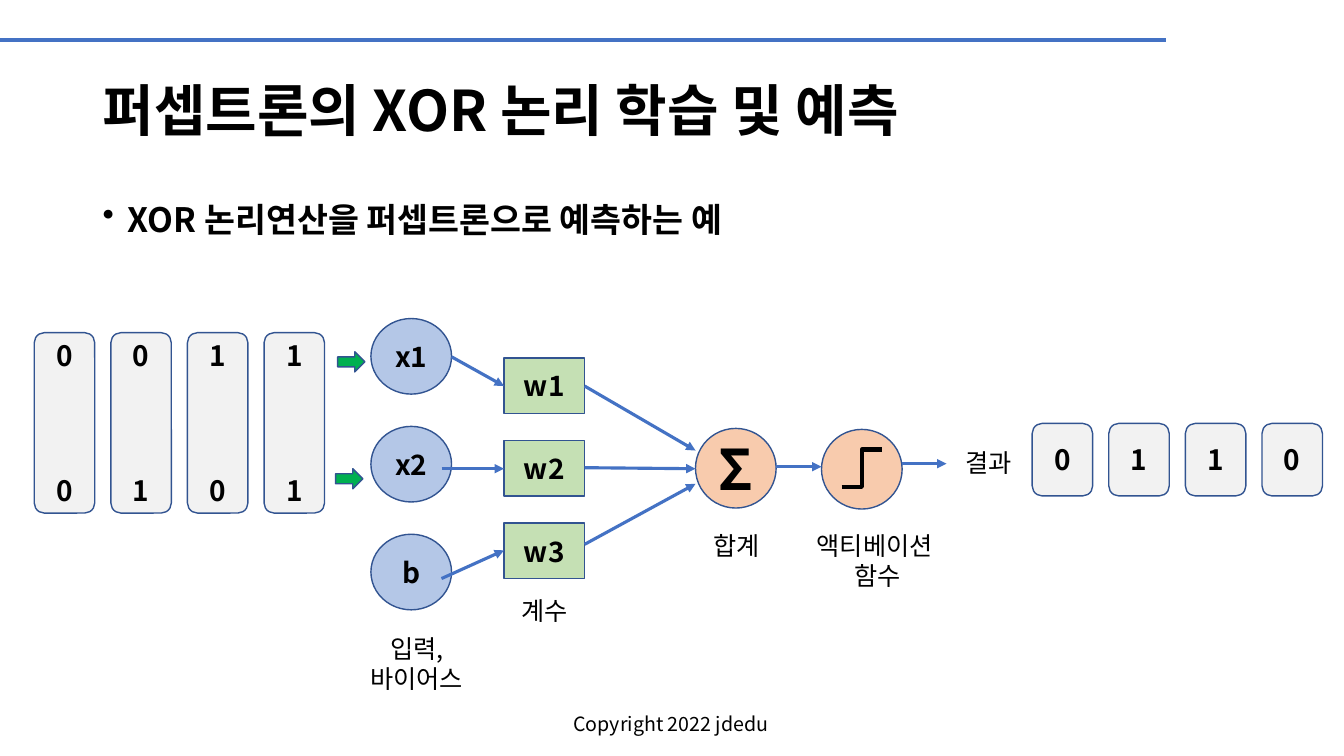
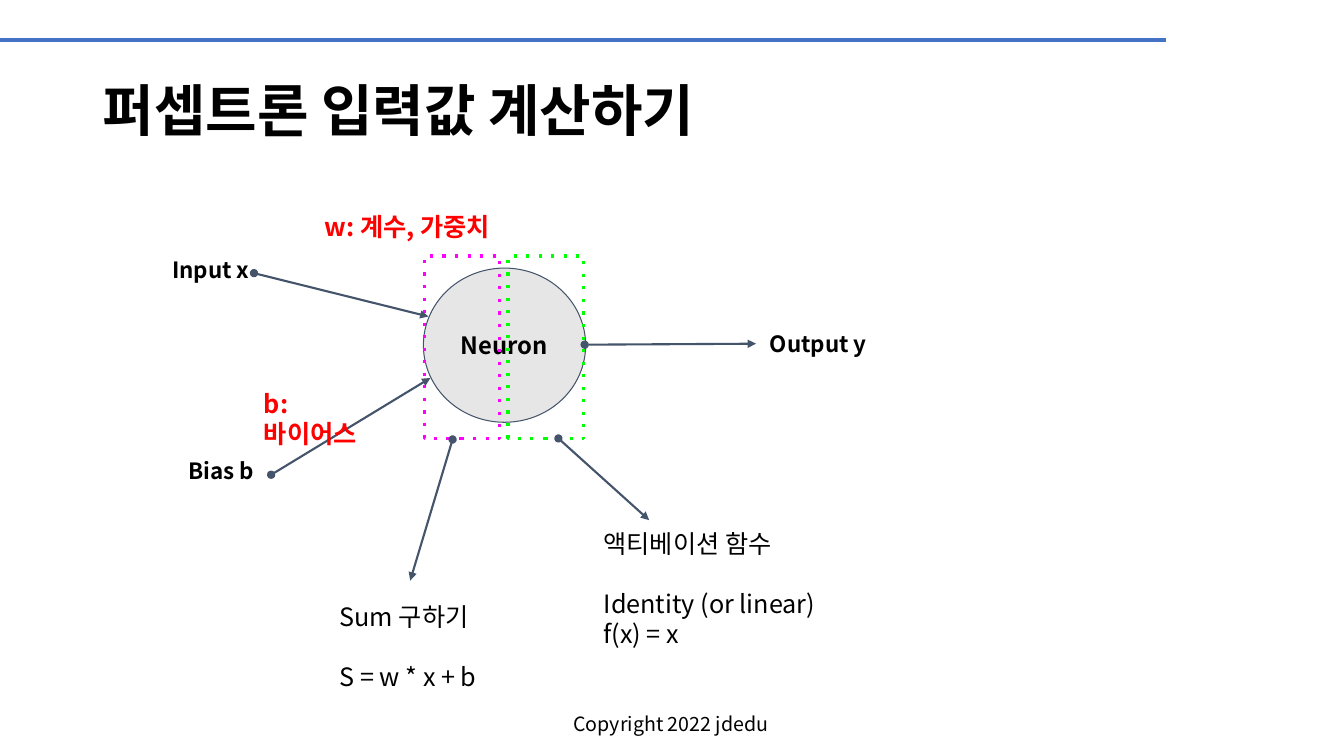
from lxml.etree import SubElement
from pptx import Presentation
from pptx.dml.color import RGBColor
from pptx.enum.shapes import MSO_CONNECTOR, MSO_SHAPE
from pptx.enum.text import MSO_ANCHOR, MSO_AUTO_SIZE, PP_ALIGN
from pptx.oxml.ns import qn
from pptx.util import Inches, Pt

FONT = "Noto Sans CJK KR"
BLACK, RED, BLUE, NAVY, SLATE = "000000", "FF0000", "4472C4", "325491", "44546A"
SKY, LEAF, PEACH, PALE, GREY = "B4C7E7", "C5E0B4", "F8CBAD", "F2F2F2", "E7E6E6"
GREEN, PINK, LIME = "00B050", "FF00FF", "00FF00"
WIDE, HIGH = 133.33, 75  # columns and rows of a 0.1 inch grid


def grid(*cells):
    return [Inches(cell / 10) for cell in cells]


def color(code):
    return RGBColor.from_string(code)


def write(frame, text, size, code=BLACK, bold=False, align=PP_ALIGN.LEFT):
    """Fill a text frame, one paragraph for each line of text."""
    frame.text = text
    for para in frame.paragraphs:
        para.alignment = align
        font = para.font
        font.size, font.bold, font.name = Pt(size), bold, FONT
        font.color.rgb = color(code)
        SubElement(para._p.pPr.find(qn("a:defRPr")), qn("a:ea"), typeface=FONT)


def pad(frame, side, top):
    frame.margin_left = frame.margin_right = Inches(side)
    frame.margin_top = frame.margin_bottom = Inches(top)


def label(slide, box, text, size=18, wrap=False, top=0.05, **style):
    frame = slide.shapes.add_textbox(*grid(*box)).text_frame
    frame.word_wrap = wrap
    pad(frame, 0.1, top)
    write(frame, text, size, **style)
    return frame


def shape(slide, kind, box, fill=None, edge=NAVY, width=1, text="", size=20):
    item = slide.shapes.add_shape(kind, *grid(*box))
    item.shadow.inherit = False
    if fill:
        item.fill.solid()
        item.fill.fore_color.rgb = color(fill)
    else:
        item.fill.background()
    item.line.color.rgb = color(edge)
    item.line.width = Pt(width)
    if text:
        frame = item.text_frame
        frame.word_wrap = False
        frame.vertical_anchor = MSO_ANCHOR.MIDDLE
        pad(frame, 0, 0)
        write(frame, text, size, bold=True, align=PP_ALIGN.CENTER)
    return item


def link(slide, ends, code=BLUE, width=2.25, head=None, tail="triangle",
         kind=MSO_CONNECTOR.STRAIGHT):
    line = slide.shapes.add_connector(kind, *grid(*ends))
    line.line.color.rgb = color(code)
    line.line.width = Pt(width)
    props = line._element.spPr
    for tag, end in (("a:headEnd", head), ("a:tailEnd", tail)):
        if end:
            SubElement(props.find(qn("a:ln")), qn(tag), type=end)
    SubElement(props, qn("a:effectLst"))


def page(deck, title):
    """Add a slide with the shared rule, footer and title."""
    slide = deck.slides.add_slide(deck.slide_layouts[5])
    link(slide, (0, 4, 115.7, 4), width=3, tail=None)
    label(slide, (55.9, 70.1, 21.5, 3.4), "Copyright 2022 jdedu", 14)
    head = slide.shapes.title
    head.left, head.top, head.width, head.height = grid(9.2, 4, 115, 14.5)
    frame = head.text_frame
    frame.auto_size = MSO_AUTO_SIZE.NONE
    frame.vertical_anchor = MSO_ANCHOR.MIDDLE
    write(frame, title, 40, bold=True)
    frame.paragraphs[0].line_spacing = 0.9
    return slide


def bullet(slide, box, text):
    para = label(slide, box, text, 24, wrap=True, bold=True).paragraphs[0]
    para.line_spacing, para.space_before = 0.8, Pt(10)
    props = para._p.pPr
    props.set("marL", str(Inches(0.25)))
    props.set("indent", str(-Inches(0.25)))
    mark = SubElement(props, qn("a:buChar"), char="•")
    props.find(qn("a:defRPr")).addprevious(mark)


def cards(slide, x, y, high, texts):
    """Lay out a row of rounded cards, two-line texts spread apart."""
    for i, text in enumerate(texts):
        card = shape(slide, MSO_SHAPE.ROUNDED_RECTANGLE,
                     (x + 7.6 * i, y, 6, high), PALE, text=text)
        for para in card.text_frame.paragraphs[1:]:
            para.space_before = Pt(73)


def network(slide, x, y):
    def put(kind, left, top, wide, high, fill, text="", size=20):
        shape(slide, kind, (x + left, y + top, wide, high), fill,
              text=text, size=size)

    def join(left, top, right, low, **style):
        link(slide, (x + left, y + top, x + right, y + low), **style)

    for i, (node, weight) in enumerate((("x1", "w1"), ("x2", "w2"), ("b", "w3"))):
        put(MSO_SHAPE.OVAL, 0, 10.7 * i, 8, 7.5, SKY, node)
        put(MSO_SHAPE.RECTANGLE, 13.2, 3.9 + 8.2 * i, 8, 5.5, LEAF, weight)
    for left, top in ((-3.3, 3.3), (-3.5, 14.9)):
        put(MSO_SHAPE.RIGHT_ARROW, left, top, 2.7, 2, GREEN)
    put(MSO_SHAPE.OVAL, 32.2, 10.9, 8, 7.9, PEACH, "Σ", 40)
    put(MSO_SHAPE.OVAL, 44.7, 11, 8, 7.9, PEACH)
    for ends in ((8, 3.8, 13.2, 6.7), (7, 14.9, 13.2, 14.9), (7, 25.8, 13.2, 23),
                 (21.2, 6.7, 32.2, 13.1), (21.2, 14.8, 32.2, 14.9),
                 (21.2, 22.4, 32.2, 16.4), (40.2, 14.7, 44.7, 14.7),
                 (52.7, 14.4, 57.1, 14.4)):
        join(*ends)
    join(46.7, 16.7, 50.7, 13, code=BLACK, width=3, tail=None,
         kind=MSO_CONNECTOR.ELBOW)
    for left, top, wide, high, text in (
            (-1.5, 30.7, 12.1, 7.1, "입력,\n바이어스"),
            (13.7, 27, 7.1, 4, "계수"),
            (32.7, 20.5, 7.1, 4, "합계"),
            (42.5, 20.5, 15.5, 7.1, "액티베이션 \n함수"),
            (57.7, 12.3, 7.1, 4, "결과")):
        label(slide, (x + left, y + top, wide, high), text,
              align=PP_ALIGN.CENTER)


def neuron(slide, x, y):
    def note(left, top, wide, high, text, size=18, **style):
        return label(slide, (x + left, y + top, wide, high), text, size,
                     wrap=True, top=0.1, **style)

    shape(slide, MSO_SHAPE.OVAL, (x, y, 16.1, 15.3), GREY, SLATE, 0.75,
          "Neuron", 17)
    for left, code in ((0.1, PINK), (8.4, LIME)):
        half = shape(slide, MSO_SHAPE.RECTANGLE,
                     (x + left, y - 1.2, 7.5, 18.1), edge=code, width=2.25)
        SubElement(half._element.spPr.find(qn("a:ln")), qn("a:prstDash"),
                   val="dot")
    for left, top, right, low in (
            (-16.8, 0.5, 0.5, 4.8), (-15.1, 20.5, 0.7, 10.9),
            (16, 7.6, 33, 7.5), (2.9, 17, -1.3, 31), (13.4, 16.9, 22.4, 25)):
        link(slide, (x + left, y + top, x + right, y + low), SLATE, 1.5,
             head="oval")
    for left, top, wide, text in ((-25.9, -2.2, 10.3, "Input x"),
                                  (-24.3, 17.8, 10.3, "Bias b"),
                                  (33.4, 5.2, 14.4, "Output y")):
        note(left, top, wide, 4.7, text, 16, bold=True)
    for left, top, wide, text in ((-10.8, -6.6, 19.6, "w: 계수, 가중치"),
                                  (-16.8, 10.9, 13.3, "b: 바이어스")):
        note(left, top, wide, 4.4, text, code=RED, bold=True)
    for left, top, wide, high, text in (
            (-9.3, 32.1, 18.1, 11.4, "Sum 구하기\nS = w * x + b"),
            (16.9, 24.8, 24.3, 16.2,
             "액티베이션 함수\nIdentity (or linear)\nf(x) = x")):
        frame = note(left, top, wide, high, text)
        frame.paragraphs[1].space_before = Pt(21)


def main():
    deck = Presentation()
    deck.slide_width, deck.slide_height = grid(WIDE, HIGH)

    slide = page(deck, "퍼셉트론의 XOR 논리 학습 및 예측")
    bullet(slide, (9.2, 20, 115, 4.4), "XOR 논리연산을 퍼셉트론으로 예측하는 예")
    cards(slide, 3.4, 33, 17.9, ("0\n0", "0\n1", "1\n0", "1\n1"))
    network(slide, 36.8, 31.6)
    cards(slide, 102.4, 42, 7.2, "0110")

    slide = page(deck, "퍼셉트론 입력값 계산하기")
    neuron(slide, 42, 26.6)
    deck.save("out.pptx")


if __name__ == "__main__":
    main()
